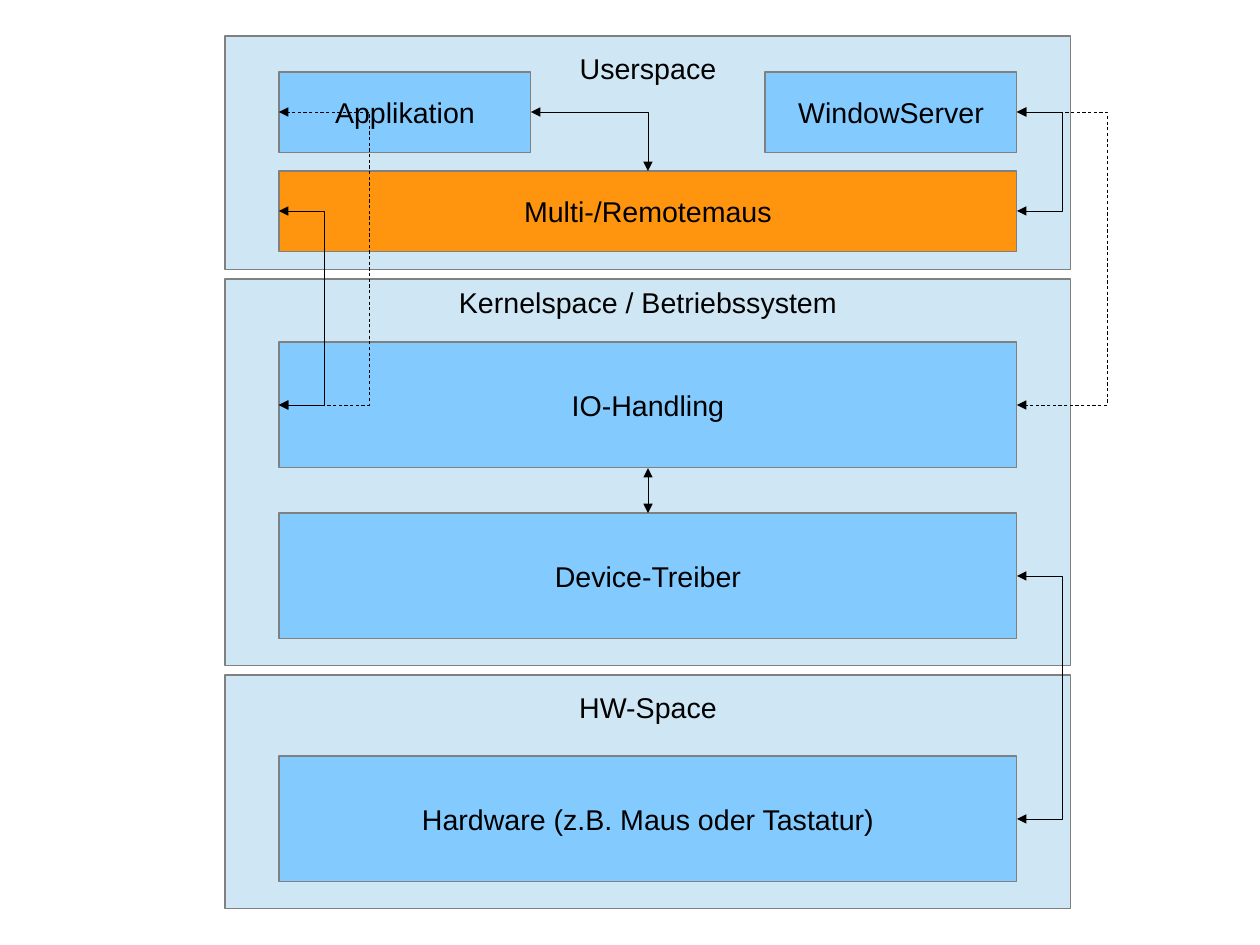
from lxml import etree
from pptx import Presentation
from pptx.dml.color import RGBColor
from pptx.enum.dml import MSO_LINE
from pptx.enum.shapes import MSO_CONNECTOR, MSO_SHAPE
from pptx.enum.text import MSO_ANCHOR, PP_ALIGN
from pptx.oxml.ns import qn
from pptx.util import Pt

SCALE = 8000
RECT = MSO_SHAPE.RECTANGLE
STRAIGHT = MSO_CONNECTOR.STRAIGHT
DASH = MSO_LINE.DASH
TOP, MIDDLE = MSO_ANCHOR.TOP, MSO_ANCHOR.MIDDLE
CENTER = PP_ALIGN.CENTER

COLORS = {
    "panel": "CFE7F5",
    "box": "83CAFF",
    "mouse": "FF950E",
    "edge": "808080",
    "ink": "000000",
}
LEFT, WIDE = 279, 738
RIGHT = LEFT + WIDE
MID = LEFT + WIDE // 2
STEP = 45
LOW, HIGH = 81, 126
APP, MOUSE, INPUT, DRIVER, DEVICE = 72, 171, 342, 513, 756


def px(size):
    return size * SCALE


def color(name):
    return RGBColor.from_string(COLORS[name])


def block(slide, text, x, y, w, h, fill):
    shape = slide.shapes.add_shape(RECT, px(x), px(y), px(w), px(h))
    shape.shadow.inherit = False
    shape.fill.solid()
    shape.fill.fore_color.rgb = color(fill)
    shape.line.color.rgb = color("edge")
    shape.line.width = Pt(0)
    frame = shape.text_frame
    frame.word_wrap = True
    frame.vertical_anchor = MIDDLE
    para = frame.paragraphs[0]
    para.text = text
    para.alignment = CENTER
    para.font.name = "Arial"
    para.font.size = Pt(18)
    para.font.color.rgb = color("ink")
    return frame


def panel(slide, title, y, h, inset):
    frame = block(slide, title, 225, y, 846, h, "panel")
    frame.vertical_anchor = TOP
    frame.margin_top = px(inset)


def style(arrow, dotted=False):
    arrow.line.color.rgb = color("ink")
    arrow.line.width = Pt(0.5)
    if dotted:
        arrow.line.dash_style = DASH
    props = arrow.element.spPr
    line = props.find(qn("a:ln"))
    for end in ("a:headEnd", "a:tailEnd"):
        etree.SubElement(line, qn(end), type="triangle")
    etree.SubElement(props, qn("a:effectLst"))


def bend(slide, points, dotted=False):
    path = slide.shapes.build_freeform(*points[0], scale=SCALE)
    path.add_line_segments(points[1:], close=False)
    arrow = path.convert_to_shape()
    arrow.fill.background()
    style(arrow, dotted)


def loop(slide, x, start, stop, steps, dotted=False):
    side = x + steps * STEP
    bend(slide, [(x, start), (side, start), (side, stop), (x, stop)], dotted)


def main():
    deck = Presentation()
    deck.slide_width, deck.slide_height = px(1260), px(945)
    slide = deck.slides.add_slide(deck.slide_layouts[6])

    panel(slide, "HW-Space", 675, 234, 15)
    panel(slide, "Kernelspace / Betriebssystem", 279, 387, 6)
    panel(slide, "Userspace", 36, 234, 15)

    for text, x, y, w, h, fill in (
        ("Hardware (z.B. Maus oder Tastatur)", LEFT, DEVICE, WIDE, HIGH, "box"),
        ("Device-Treiber", LEFT, DRIVER, WIDE, HIGH, "box"),
        ("IO-Handling", LEFT, INPUT, WIDE, HIGH, "box"),
        ("Applikation", LEFT, APP, 252, LOW, "box"),
        ("WindowServer", RIGHT - 252, APP, 252, LOW, "box"),
        ("Multi-/Remotemaus", LEFT, MOUSE, WIDE, LOW, "mouse"),
    ):
        block(slide, text, x, y, w, h, fill)

    app, mouse = (y + LOW // 2 for y in (APP, MOUSE))
    handler, driver, device = (y + HIGH // 2 for y in (INPUT, DRIVER, DEVICE))
    loop(slide, RIGHT, driver, device, 1)
    loop(slide, LEFT, handler, mouse, 1)
    loop(slide, RIGHT, app, mouse, 1)
    loop(slide, LEFT, handler, app, 2, True)
    loop(slide, RIGHT, app, handler, 2, True)
    bend(slide, [(LEFT + 252, app), (MID, app), (MID, MOUSE)])
    style(slide.shapes.add_connector(
        STRAIGHT, px(MID), px(DRIVER), px(MID), px(INPUT + HIGH)))

    deck.save("out.pptx")


if __name__ == "__main__":
    main()
